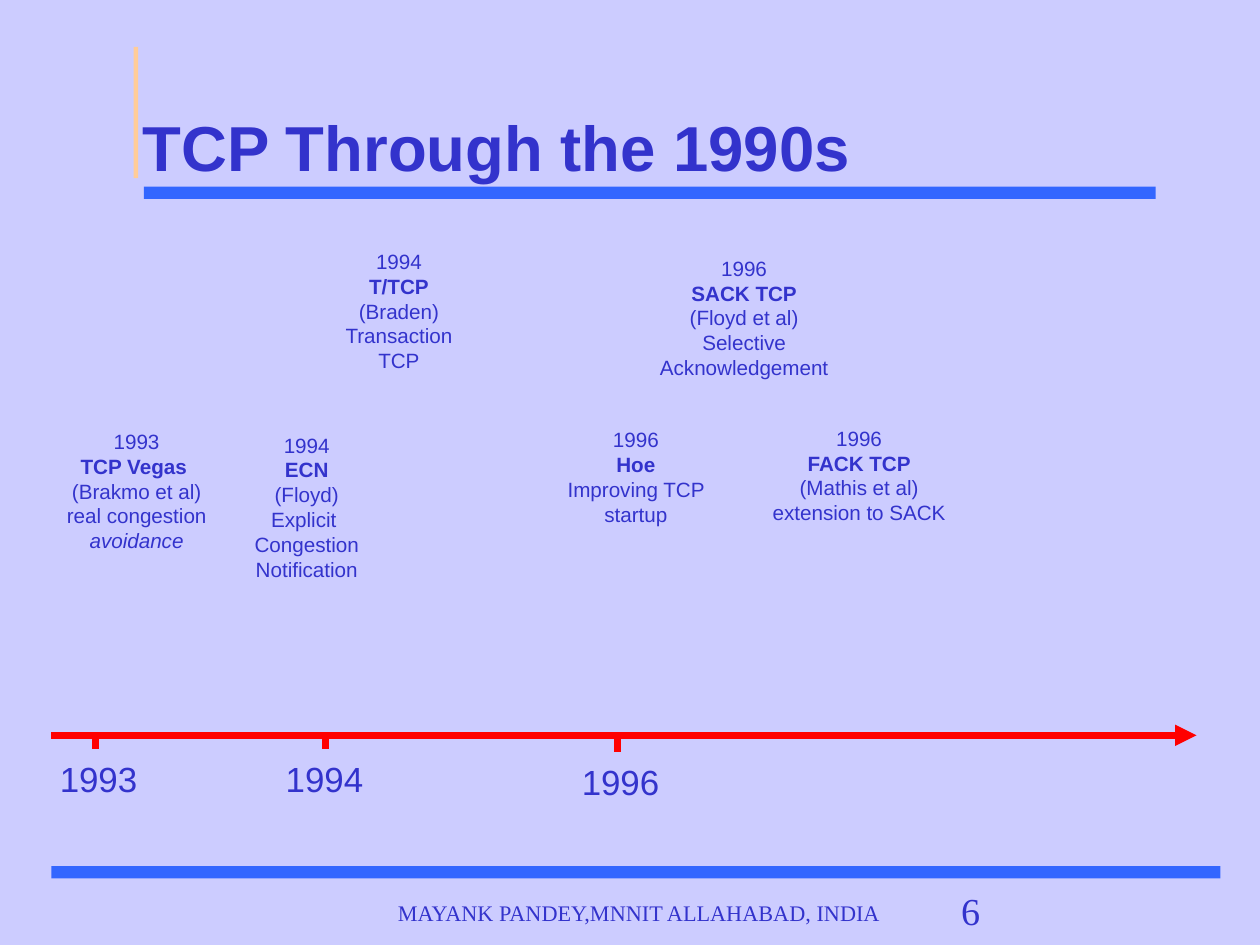
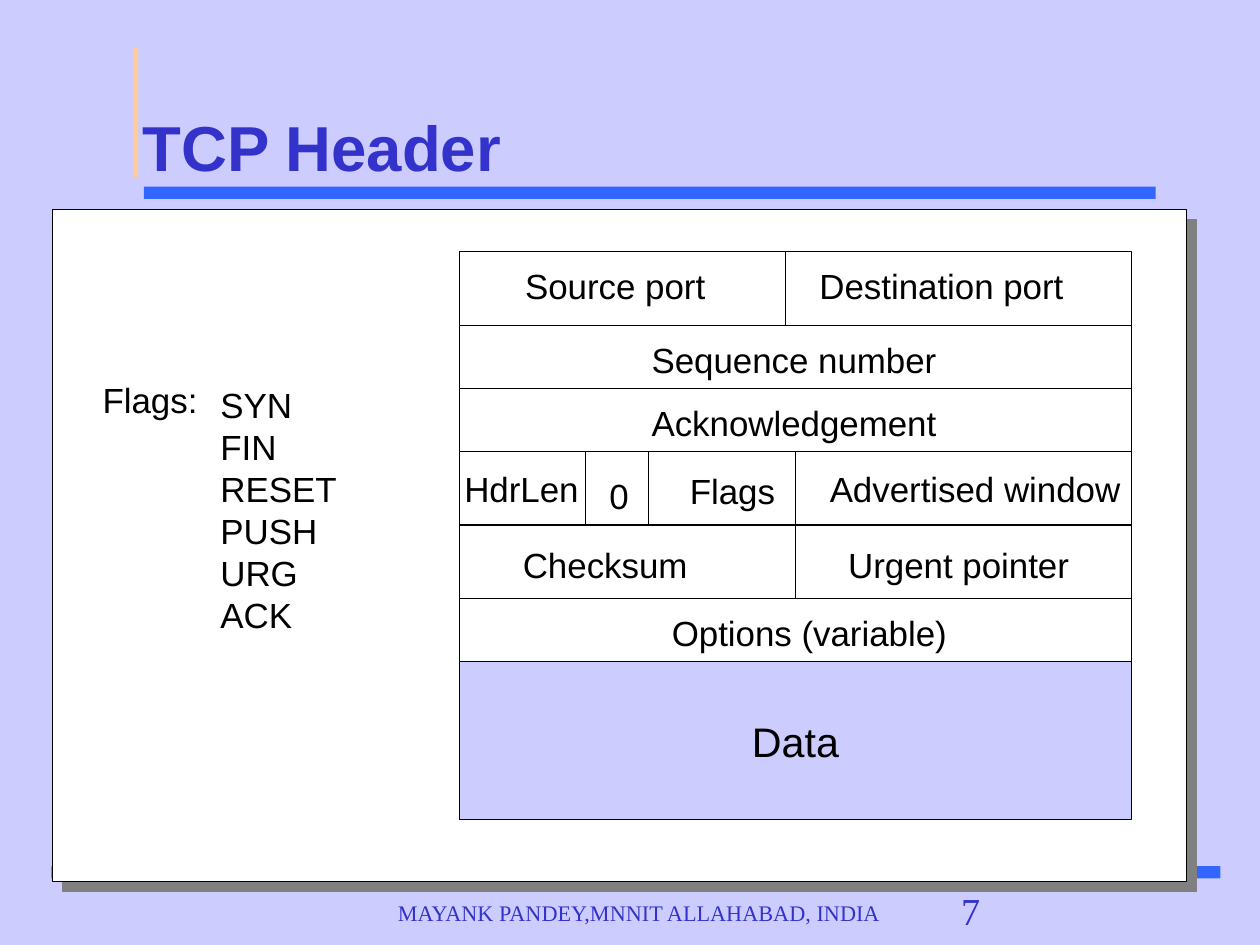
from dataclasses import dataclass
from itertools import accumulate

from lxml.etree import SubElement
from pptx import Presentation
from pptx.dml.color import RGBColor as Rgb
from pptx.enum.shapes import MSO_CONNECTOR as Connector, MSO_SHAPE as Shape
from pptx.enum.text import MSO_ANCHOR as Anchor, PP_ALIGN as Align
from pptx.oxml.ns import qn
from pptx.util import Cm, Pt


@dataclass(frozen=True)
class Theme:
    background: Rgb = Rgb(0xCC, 0xCC, 0xFF)
    ink: Rgb = Rgb(0x33, 0x33, 0xCC)
    band: Rgb = Rgb(0x33, 0x66, 0xFF)
    accent: Rgb = Rgb(0xFF, 0xCC, 0x99)
    axis: Rgb = Rgb(0xFF, 0x00, 0x00)
    black: Rgb = Rgb(0x00, 0x00, 0x00)
    white: Rgb = Rgb(0xFF, 0xFF, 0xFF)
    shadow: Rgb = Rgb(0x80, 0x80, 0x80)
    sans: str = "Arial"
    serif: str = "Times New Roman"
    title: int = 40
    data: int = 26
    number: int = 24
    label: int = 22
    footer: int = 14
    event: int = 13


theme = Theme()


def write(box, paragraphs, size, color=theme.ink, font=theme.sans, bold=False,
          align=Align.LEFT, anchor=Anchor.TOP, insets=(0.28, 0.15, 0.28, 0.15), spacing=None):
    frame = box.text_frame
    frame.word_wrap = True
    frame.vertical_anchor = anchor
    frame.margin_left, frame.margin_top, frame.margin_right, frame.margin_bottom = map(Cm, insets)
    for index, content in enumerate(paragraphs):
        para = frame.add_paragraph() if index else frame.paragraphs[0]
        para.alignment = align
        if spacing:
            para.line_spacing = Pt(spacing)
        for text, style in [(content, "")] if isinstance(content, str) else content:
            span = para.add_run()
            span.text = text
            span.font.name = font
            span.font.size = Pt(size)
            span.font.color.rgb = color
            span.font.bold = bold or style == "bold"
            span.font.italic = style == "italic"


def draw_line(page, x1, y1, x2, y2, arrow=False):
    line = page.shapes.add_connector(Connector.STRAIGHT, Cm(x1), Cm(y1), Cm(x2), Cm(y2))
    line.line.color.rgb = theme.axis
    line.line.width = Pt(4.5)
    SubElement(line._element.spPr, qn("a:effectLst"))
    if arrow:
        SubElement(line.line._get_or_add_ln(), qn("a:tailEnd"), type="triangle")


deck = Presentation()
deck.slide_width, deck.slide_height = Cm(28), Cm(21)
master_fill = deck.slide_master.background.fill
master_fill.solid()
master_fill.fore_color.rgb = theme.background

bands = [
    (1.14, 19.25, 25.98, 0.27, theme.band),
    (3.2, 4.15, 22.48, 0.27, theme.band),
    (2.97, 1.04, 0.1, 2.92, theme.accent),
]
pages = []
for number, title in enumerate(["TCP Through the 1990s", "TCP Header"], start=6):
    page = deck.slides.add_slide(deck.slide_layouts[6])
    pages.append(page)
    for left, top, width, height, color in bands:
        band = page.shapes.add_shape(Shape.RECTANGLE, Cm(left), Cm(top), Cm(width), Cm(height))
        band.shadow.inherit = False
        band.fill.solid()
        band.fill.fore_color.rgb = color
        band.line.fill.background()
    box = page.shapes.add_textbox(Cm(3), Cm(19.92), Cm(22.4), Cm(0.79))
    write(box, ["MAYANK PANDEY,MNNIT ALLAHABAD, INDIA"], theme.footer, font=theme.serif,
          align=Align.CENTER, anchor=Anchor.BOTTOM, insets=(0.25, 0.13, 0.25, 0.13), spacing=15.2)
    badge = page.shapes.add_shape(Shape.ROUNDED_RECTANGLE, Cm(21.36), Cm(19.76), Cm(3.56), Cm(0.99))
    badge.adjustments[0] = 0
    badge.shadow.inherit = False
    badge.fill.background()
    badge.line.fill.background()
    write(badge, [str(number)], theme.number, font=theme.serif, insets=(0, 0, 0, 0), spacing=27.8)
    box = page.shapes.add_textbox(Cm(3.17), Cm(0.84), Cm(23.7), Cm(3.35))
    write(box, [title], theme.title, bold=True, anchor=Anchor.MIDDLE,
          insets=(0, 0, 0, 0), spacing=90)

timeline, header = pages

draw_line(timeline, 1.14, 16.34, 26.59, 16.34, arrow=True)
years = [
    ("1993", 2.12, 16.3, 2.19, 16.68),
    ("1994", 7.24, 16.3, 7.21, 16.68),
    ("1996", 13.72, 16.37, 13.79, 16.76),
]
for year, tick, tick_top, center, top in years:
    draw_line(timeline, tick, tick_top, tick, tick_top + 0.35)
    box = timeline.shapes.add_textbox(Cm(center - 1.5), Cm(top), Cm(3), Cm(1.22))
    write(box, [year], theme.label, align=Align.CENTER)

events = [
    (0.47, 9.38, 5.13, 3.05, "1993", "TCP Vegas ",
     ["(Brakmo et al)", [("real congestion ", ""), ("avoidance", "italic")]]),
    (5.1, 9.46, 3.43, 3.58, "1994", "ECN",
     ["(Floyd)", "Explicit ", "Congestion", "Notification"]),
    (7.09, 5.38, 3.55, 3.05, "1994", "T/TCP", ["(Braden)", "Transaction", "TCP"]),
    (14.07, 5.53, 4.93, 3.05, "1996", "SACK TCP",
     ["(Floyd et al)", "Selective Acknowledgement"]),
    (11.77, 9.34, 4.72, 2.49, "1996", "Hoe", ["Improving TCP startup"]),
    (16.26, 9.31, 5.66, 2.49, "1996", "FACK TCP", ["(Mathis et al)", "extension to SACK"]),
]
for left, top, width, height, year, name, details in events:
    box = timeline.shapes.add_textbox(Cm(left), Cm(top), Cm(width), Cm(height))
    write(box, [year, [(name, "bold")], *details], theme.event, align=Align.CENTER)

panel = header.shapes.add_shape(Shape.RECTANGLE, Cm(1.17), Cm(4.66), Cm(25.2), Cm(14.94))
panel.shadow.inherit = False
panel.fill.solid()
panel.fill.fore_color.rgb = theme.white
panel.line.color.rgb = theme.black
panel.line.width = Pt(0.75)
effects = panel._element.spPr.find(qn("a:effectLst"))
shadow = SubElement(effects, qn("a:outerShdw"), dist=str(Pt(8.5)), dir="2700000",
                    algn="tl", rotWithShape="0")
SubElement(shadow, qn("a:srgbClr"), val=str(theme.shadow))

table_left, table_top = 10.21, 5.59
rows = [
    (1.64, [("Source port", 7.24, 1.46, 0.3), ("Destination port", 7.7, 0.76, 0.3)]),
    (1.4, [("Sequence number", 14.94, 4.27, 0.3)]),
    (1.4, [("Acknowledgement", 14.94, 4.27, 0.3)]),
    (1.64, [("HdrLen", 2.8, 0.11, 0.36), ("0", 1.4, 0.53, 0.51),
            ("Flags", 3.27, 0.92, 0.41), ("Advertised window", 7.47, 0.76, 0.36)]),
    (1.64, [("Checksum", 7.47, 1.41, 0.41), ("Urgent pointer", 7.47, 1.17, 0.41)]),
    (1.4, [("Options (variable)", 14.94, 4.72, 0.28)]),
    (3.5, [("Data", 14.94, 0, 0)]),
]
row_tops = accumulate((height for height, fields in rows), initial=table_top)
for top, (height, fields) in zip(row_tops, rows):
    left = table_left
    for name, width, indent, drop in fields:
        field = header.shapes.add_shape(Shape.RECTANGLE, Cm(left), Cm(top), Cm(width), Cm(height))
        field.shadow.inherit = False
        field.line.color.rgb = theme.black
        field.line.width = Pt(0.75)
        if name == "Data":
            field.fill.solid()
            field.fill.fore_color.rgb = theme.background
            write(field, [name], theme.data, theme.black,
                  align=Align.CENTER, anchor=Anchor.MIDDLE)
        else:
            field.fill.background()
            write(field, [name], theme.label, theme.black, insets=(indent, drop, 0, 0))
        left += width

flag_lists = [
    (2, 8.26, 3, 1.22, ["Flags:"]),
    (4.62, 8.38, 3.5, 5.87, ["SYN", "FIN", "RESET", "PUSH", "URG", "ACK"]),
]
for left, top, width, height, names in flag_lists:
    box = header.shapes.add_textbox(Cm(left), Cm(top), Cm(width), Cm(height))
    write(box, names, theme.label, theme.black)

deck.save("out.pptx")
